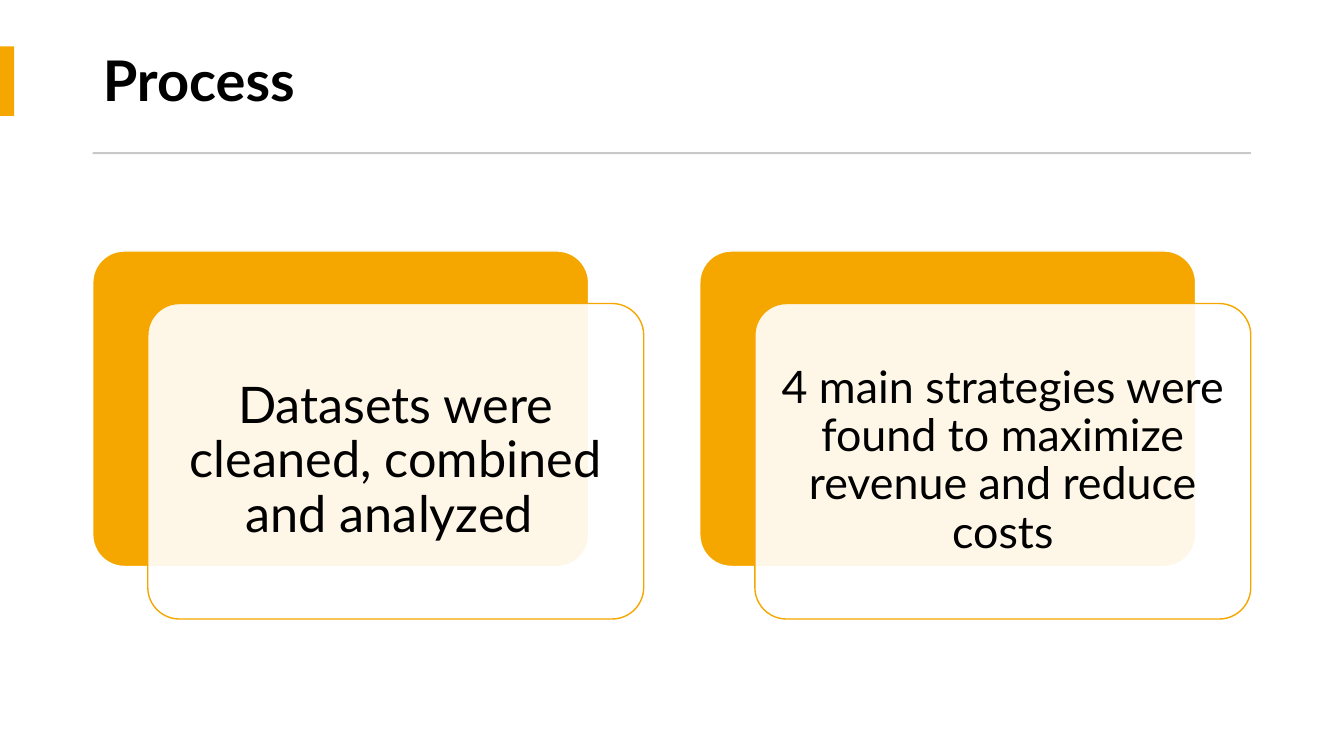
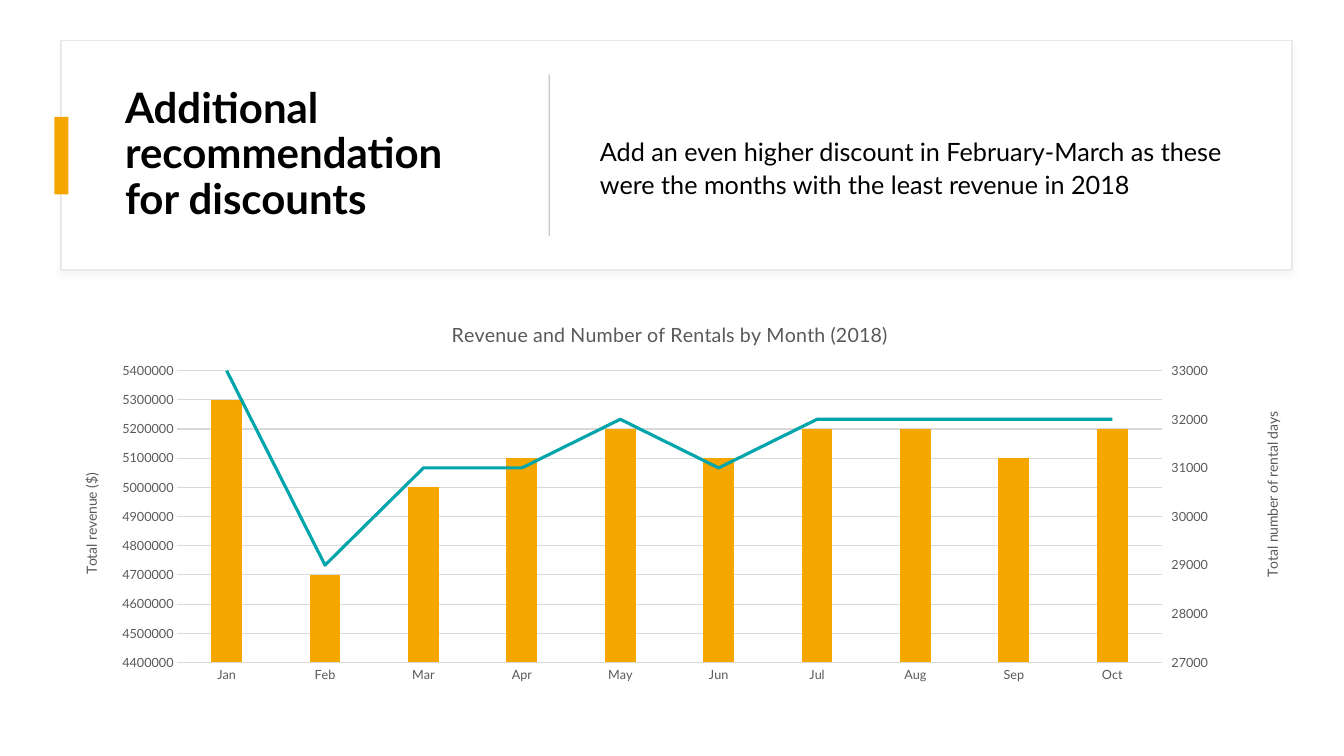
import pptx
import pptx.chart.axis
import pptx.chart.data
import pptx.dml.color
import pptx.enum.chart
import pptx.enum.shapes
import pptx.enum.text
import pptx.oxml
import pptx.oxml.ns
import pptx.util

WIDTH, HEIGHT = pptx.util.Inches(13.333), pptx.util.Inches(7.5)
FONT = "Lato"
COLORS = {
    "white": "FFFFFF", "ink": "000000", "accent": "F5A700", "line": "00A5AB",
    "rule": "C9C9C9", "frame": "E9E9E9", "grid": "D9D9D9", "label": "595959",
}
ALIGN = pptx.enum.text.PP_ALIGN
SHAPE = pptx.enum.shapes.MSO_SHAPE
TICK = pptx.enum.chart.XL_TICK_MARK

# Shares of the slide, in percent
MARGIN, CONTENT_WIDTH = 6.9, 86.17
MARKER_WIDTH = 1.05
CARD_WIDTH, CARD_HEIGHT, CARD_TOP = 36.9, 41.73, 33.2
CARD_SHIFT_X, CARD_SHIFT_Y = 4.1, 6.95

PROCESS_STEPS = [
    ("Datasets were cleaned, combined and analyzed ", 36, 0.15),
    ("4 main strategies were found to maximize revenue and reduce costs", 32, 0.13),
]
MONTHS = ["Jan", "Feb", "Mar", "Apr", "May", "Jun", "Jul", "Aug", "Sep", "Oct"]
REVENUE = [5300000, 4700000, 5000000, 5100000, 5200000,
           5100000, 5200000, 5200000, 5100000, 5200000]
RENTAL_DAYS = [33000, 29000, 31000, 31000, 32000, 31000, 32000, 32000, 32000, 32000]


def rgb(name):
    return pptx.dml.color.RGBColor.from_string(COLORS[name])


def box(left, top, width, height):
    """Turn percentages of the slide into a position and size."""
    return [round(share * side / 100) for share, side in
            zip((left, top, width, height), (WIDTH, HEIGHT, WIDTH, HEIGHT))]


def xml(tag, content=""):
    """Parse one element whose content may use the a: and c: prefixes."""
    return pptx.oxml.parse_xml(
        f"<{tag} {pptx.oxml.ns.nsdecls('a', 'c')}>{content}</{tag}>")


def write_text(frame, text, size, color="ink", bold=False, align=None, spacing=None):
    frame.text = text
    for paragraph in frame.paragraphs:
        if align is not None:
            paragraph.alignment = align
        if spacing is not None:
            paragraph.line_spacing = spacing
        for run in paragraph.runs:
            format_font(run.font, size, color, bold)


def format_font(font, size, color, bold=False):
    font.name, font.size, font.bold = FONT, pptx.util.Pt(size), bold
    font.color.rgb = rgb(color)


def set_frame(frame, inset_x=0.1, inset_y=0.05):
    frame.word_wrap = True
    frame.auto_size = pptx.enum.text.MSO_AUTO_SIZE.NONE
    frame.vertical_anchor = pptx.enum.text.MSO_ANCHOR.MIDDLE
    frame.margin_left = frame.margin_right = pptx.util.Inches(inset_x)
    frame.margin_top = frame.margin_bottom = pptx.util.Inches(inset_y)


def add_block(slide, position, fill, line=None, kind=SHAPE.RECTANGLE):
    shape = slide.shapes.add_shape(kind, *box(*position))
    shape.shadow.inherit = False
    shape.fill.solid()
    shape.fill.fore_color.rgb = rgb(fill)
    if line:
        shape.line.color.rgb = rgb(line)
        shape.line.width = pptx.util.Pt(1)
    else:
        shape.line.fill.background()
    return shape


def add_title_slide(presentation, title, position, size):
    slide = presentation.slides.add_slide(presentation.slide_layouts[5])
    shape = slide.shapes.title
    shape.left, shape.top, shape.width, shape.height = box(*position)
    set_frame(shape.text_frame)
    write_text(shape.text_frame, title, size, bold=True, align=ALIGN.LEFT, spacing=0.9)
    return slide


def add_marker(slide, left, top, height):
    add_block(slide, (left, top, MARKER_WIDTH, height), "accent")


def add_process_card(slide, left, text, size, inset):
    """Draw an accent panel with a translucent text panel shifted over it."""
    panels = []
    for shift, fill, line in ((0, "accent", "white"), (1, "white", "accent")):
        position = (left + shift * CARD_SHIFT_X, CARD_TOP + shift * CARD_SHIFT_Y,
                    CARD_WIDTH, CARD_HEIGHT)
        panel = add_block(slide, position, fill, line, SHAPE.ROUNDED_RECTANGLE)
        panel.adjustments[0] = 0.1
        panels.append(panel)
    front = panels[-1]
    alpha = xml("a:alpha")
    alpha.set("val", "90000")
    front.element.spPr.xpath("./a:solidFill/a:srgbClr")[0].append(alpha)
    set_frame(front.text_frame, inset, inset)
    write_text(front.text_frame, text, size, align=ALIGN.CENTER, spacing=0.9)


def add_header_card(slide, position):
    """Draw the framed header behind the title, with a soft shadow."""
    card = add_block(slide, position, "white", "frame")
    effects = card.element.spPr.xpath("./a:effectLst")[0]
    shadow = xml("a:outerShdw", f'<a:srgbClr val="{COLORS["grid"]}">'
                 '<a:alpha val="20000"/></a:srgbClr>')
    for name, value in (("blurRad", pptx.util.Pt(4)), ("dist", pptx.util.Pt(3)),
                        ("dir", 90 * 60000)):
        shadow.set(name, str(value))
    effects.append(shadow)
    slide.shapes.title.element.addprevious(card.element)


def set_layout(element, **shares):
    """Place a chart title or the plot area by shares of the chart."""
    for old in element.xpath("./c:layout"):
        element.remove(old)
    inner = '<c:layoutTarget val="inner"/>' if "w" in shares else ""
    modes = '<c:xMode val="edge"/><c:yMode val="edge"/>'
    values = "".join(f'<c:{name} val="{share}"/>' for name, share in shares.items())
    layout = xml("c:layout", f"<c:manualLayout>{inner}{modes}{values}</c:manualLayout>")
    element.insert(1 if element.xpath("./c:tx") else 0, layout)


def move_to_right_axis(chart):
    """Turn the last column series into a line on a second axis; return that axis."""
    plot_area = chart.element.xpath(".//c:plotArea")[0]
    bar_chart = plot_area.xpath("./c:barChart")[0]
    series = bar_chart.xpath("./c:ser")[-1]
    for flag in series.xpath("./c:invertIfNegative"):
        series.remove(flag)
    line_chart = xml("c:lineChart", '<c:grouping val="standard"/><c:varyColors val="0"/>'
                     '<c:marker val="1"/><c:axId val="5001"/><c:axId val="5002"/>')
    line_chart.insert(2, series)
    bar_chart.addnext(line_chart)
    scaling = '<c:scaling><c:orientation val="minMax"/></c:scaling>'
    right = xml("c:valAx", f'<c:axId val="5002"/>{scaling}<c:delete val="0"/>'
                '<c:axPos val="r"/><c:numFmt formatCode="General" sourceLinked="0"/>'
                '<c:majorTickMark val="out"/><c:minorTickMark val="none"/>'
                '<c:tickLblPos val="nextTo"/><c:crossAx val="5001"/>'
                '<c:crosses val="max"/><c:crossBetween val="between"/>')
    hidden = xml("c:catAx", f'<c:axId val="5001"/>{scaling}<c:delete val="1"/>'
                 '<c:axPos val="b"/><c:crossAx val="5002"/><c:crosses val="autoZero"/>')
    plot_area.xpath("./c:valAx")[-1].addnext(right)
    right.addnext(hidden)
    return pptx.chart.axis.ValueAxis(right)


def format_value_axis(axis, title, low, high, step, tick, x, y):
    axis.minimum_scale, axis.maximum_scale, axis.major_unit = low, high, step
    axis.major_tick_mark = tick
    axis.tick_labels.number_format = "General"
    axis.tick_labels.number_format_is_linked = False
    format_font(axis.tick_labels.font, 9, "label")
    axis.format.line.fill.background()
    write_text(axis.axis_title.text_frame, title, 10, "label")
    element = axis.axis_title.element
    body = element.xpath(".//a:bodyPr")[0]
    body.set("rot", "-5400000")
    body.set("vert", "horz")
    set_layout(element, x=x, y=y)


def add_revenue_chart(slide, position):
    data = pptx.chart.data.CategoryChartData()
    data.categories = MONTHS
    data.add_series("Series 1", REVENUE)
    data.add_series("Series 2", RENTAL_DAYS)
    chart = slide.shapes.add_chart(
        pptx.enum.chart.XL_CHART_TYPE.COLUMN_CLUSTERED, *box(*position), data).chart
    format_font(chart.font, 10, "ink")
    chart.has_legend = False
    chart.has_title = True
    write_text(chart.chart_title.text_frame,
               "Revenue and Number of Rentals by Month (2018)", 14, "label")
    set_layout(chart.element.xpath("./c:chart/c:title")[0], x=0.32, y=0.03)

    left_axis = chart.value_axis
    right_axis = move_to_right_axis(chart)
    set_layout(chart.element.xpath(".//c:plotArea")[0], x=0.1, y=0.17, w=0.8, h=0.76)
    columns, lines = chart.plots
    columns.gap_width = 219
    columns.vary_by_categories = False
    columns.series[0].format.fill.solid()
    columns.series[0].format.fill.fore_color.rgb = rgb("accent")
    rentals = lines.series[0]
    rentals.smooth = False
    rentals.marker.style = pptx.enum.chart.XL_MARKER_STYLE.NONE
    rentals.format.line.color.rgb = rgb("line")
    rentals.format.line.width = pptx.util.Pt(2.25)

    months = chart.category_axis
    months.major_tick_mark = TICK.NONE
    format_font(months.tick_labels.font, 9, "label")
    for line in (months.format.line, left_axis.major_gridlines.format.line):
        line.color.rgb = rgb("grid")
        line.width = pptx.util.Pt(0.75)
    format_value_axis(left_axis, "Total revenue ($)",
                      4400000, 5400000, 100000, TICK.NONE, 0.02, 0.43)
    format_value_axis(right_axis, "Total number of rental days",
                      27000, 33000, 1000, TICK.OUTSIDE, 0.98, 0.27)


def build_process(presentation):
    slide = add_title_slide(presentation, "Process",
                            (MARGIN, 3.7, CONTENT_WIDTH, 14.67), 40)
    add_marker(slide, 0, 6.13, 9.2)
    add_block(slide, (MARGIN, 20.13, CONTENT_WIDTH, 0.27), "rule")
    pitch = CONTENT_WIDTH - CARD_WIDTH - CARD_SHIFT_X
    for index, step in enumerate(PROCESS_STEPS):
        add_process_card(slide, MARGIN + index * pitch, *step)


def build_discounts(presentation):
    slide = add_title_slide(presentation, "Additional recommendation for discounts",
                            (8.55, 8.53, 27, 24), 30)
    add_header_card(slide, (4.55, 5.33, 91.58, 30.4))
    add_marker(slide, 4.05, 15.47, 10.27)
    add_block(slide, (40.83, 9.87, 0.08, 21.33), "rule")
    advice = slide.shapes.add_textbox(*box(43.9, 10.05, 50.48, 24))
    set_frame(advice.text_frame)
    write_text(advice.text_frame, "Add an even higher discount in February-March as these "
               "were the months with the least revenue in 2018", 18, spacing=1.1)
    add_revenue_chart(slide, (4.05, 40.4, 91.58, 50.8))


def main():
    presentation = pptx.Presentation()
    presentation.slide_width, presentation.slide_height = WIDTH, HEIGHT
    build_process(presentation)
    build_discounts(presentation)
    presentation.save("out.pptx")


if __name__ == "__main__":
    main()
